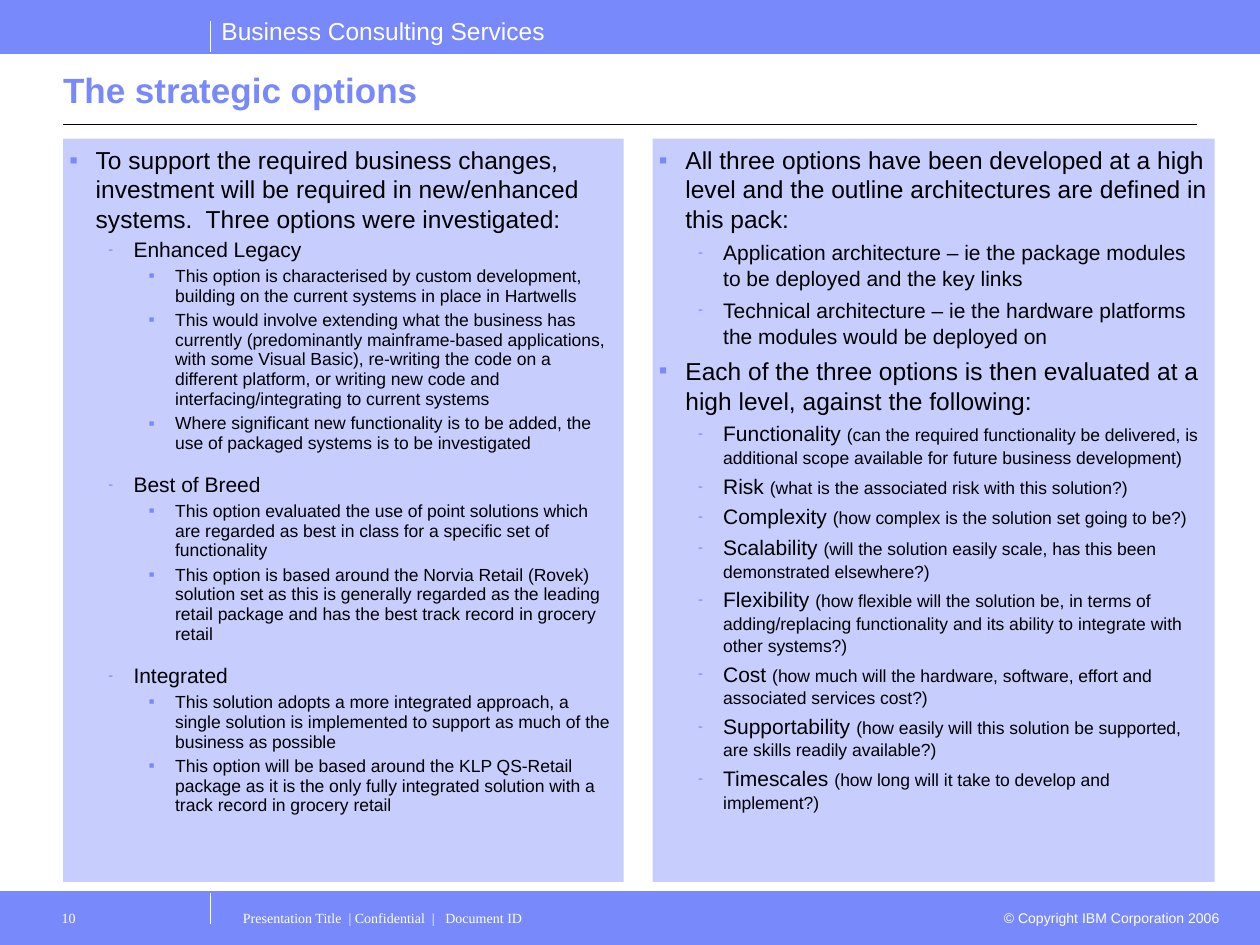
"""Build the strategic options slide with two bulleted panels."""

from dataclasses import dataclass
from lxml.etree import SubElement
from pptx import Presentation
from pptx.dml.color import RGBColor
from pptx.enum.shapes import MSO_CONNECTOR, MSO_SHAPE
from pptx.enum.text import MSO_ANCHOR, MSO_AUTO_SIZE, PP_ALIGN
from pptx.oxml.ns import qn
from pptx.util import Inches, Pt

COLORS = {"blue": "7889FB", "pale": "C7CDFD", "white": "FFFFFF", "black": "000000"}


@dataclass
class Level:
    indent: float
    hang: float
    size: float
    before: float
    mark: str
    scale: int = 100


@dataclass
class Item:
    level: int
    text: str
    note: str = ""
    before: float | None = None
    pitch: float | None = None


@dataclass
class Panel:
    left: float
    width: float
    pitch: float
    items: list[Item]


@dataclass
class Label:
    left: float
    top: float
    width: float
    height: float
    text: str
    size: float = 8
    font: str = "Arial"
    align: PP_ALIGN = PP_ALIGN.LEFT
    wrap: bool = True
    inset: float = 0.1
    head: float = 0.05


@dataclass
class Rule:
    start: tuple[float, float]
    end: tuple[float, float]
    color: str
    weight: float = 0.75


LEVELS = [
    Level(0.21, 0.21, 14, 3.5, "▪"),
    Level(0.51, 0.2, 12, 3, "-", 70),
    Level(0.84, 0.21, 10, 2.5, "▪"),
]
GAP = 11.5

PANELS = [
    Panel(0.5, 4.45, 0.94, [
        Item(0, "To support the required business changes, investment will be required in "
                "new/enhanced systems.  Three options were investigated:", before=0, pitch=1),
        Item(1, "Enhanced Legacy"),
        Item(2, "This option is characterised by custom development, building on the current "
                "systems in place in Hartwells"),
        Item(2, "This would involve extending what the business has currently (predominantly "
                "mainframe-based applications, with some Visual Basic), re-writing the code on "
                "a different platform, or writing new code and interfacing/integrating to "
                "current systems"),
        Item(2, "Where significant new functionality is to be added, the use of packaged "
                "systems is to be investigated"),
        Item(1, "Best of Breed", before=GAP),
        Item(2, "This option evaluated the use of point solutions which are regarded as best "
                "in class for a specific set of functionality"),
        Item(2, "This option is based around the Norvia Retail (Rovek) solution set as this is "
                "generally regarded as the leading retail package and has the best track "
                "record in grocery retail"),
        Item(1, "Integrated", before=GAP),
        Item(2, "This solution adopts a more integrated approach, a single solution is "
                "implemented to support as much of the business as possible"),
        Item(2, "This option will be based around the KLP QS-Retail package as it is the only "
                "fully integrated solution with a track record in grocery retail"),
    ]),
    Panel(5.18, 4.46, 1.04, [
        Item(0, "All three options have been developed at a high level and the outline "
                "architectures are defined in this pack:", before=0, pitch=1),
        Item(1, "Application architecture – ie the package modules to be deployed and the "
                "key links"),
        Item(1, "Technical architecture – ie the hardware platforms the modules would be "
                "deployed on"),
        Item(0, "Each of the three options is then evaluated at a high level, against the "
                "following:"),
        *(Item(1, name + " ", f"({note})", before=2.5) for name, note in [
            ("Functionality", "can the required functionality be delivered, is additional "
                              "scope available for future business development"),
            ("Risk", "what is the associated risk with this solution?"),
            ("Complexity", "how complex is the solution set going to be?"),
            ("Scalability", "will the solution easily scale, has this been demonstrated "
                            "elsewhere?"),
            ("Flexibility", "how flexible will the solution be, in terms of adding/replacing "
                            "functionality and its ability to integrate with other systems?"),
            ("Cost", "how much will the hardware, software, effort and associated services "
                     "cost?"),
            ("Supportability", "how easily will this solution be supported, are skills "
                               "readily available?"),
            ("Timescales", "how long will it take to develop and implement?"),
        ]),
    ]),
]

LABELS = [
    Label(1.66, 0.08, 2.77, 0.34, "Business Consulting Services", 14, wrap=False),
    Label(7.83, 7.17, 1.95, 0.24, "© Copyright IBM Corporation 2006", align=PP_ALIGN.RIGHT),
    Label(1.83, 7.15, 6, 0.35, "Presentation Title  | Confidential  |   Document ID",
          font="Times New Roman", head=0.07),
    Label(0.33, 7.15, 1.33, 0.35, "10", font="Times New Roman", inset=0.16, head=0.07),
]

RULES = [
    Rule((1.67, 0.42), (1.67, 0.17), "white"),
    Rule((1.67, 7.33), (1.67, 7.08), "white"),
    Rule((0, 0.42), (10, 0.42), "blue", 0.5),
    Rule((0, 7.08), (10, 7.08), "blue", 0.5),
    Rule((0.5, 0.99), (9.5, 0.99), "black"),
]


def tint(name: str) -> RGBColor:
    """Return the named colour."""
    return RGBColor.from_string(COLORS[name])


def place(shape, left: float, top: float, width: float, height: float) -> None:
    """Move and size a shape."""
    shape.left, shape.top = Inches(left), Inches(top)
    shape.width, shape.height = Inches(width), Inches(height)


def pad(frame, left: float, top: float, right: float, wrap: bool = True) -> None:
    """Set the margins and wrapping of a text frame."""
    frame.auto_size = MSO_AUTO_SIZE.NONE
    frame.word_wrap = wrap
    frame.margin_left, frame.margin_right = Inches(left), Inches(right)
    frame.margin_top, frame.margin_bottom = Inches(top), Inches(0.05)


def style(run, size: float, color: str, face: str = "Arial", bold: bool = False) -> None:
    """Format a run."""
    font = run.font
    font.name, font.size, font.bold = face, Pt(size), bold
    font.color.rgb = tint(color)


def mark(para, level: Level) -> None:
    """Give a paragraph its indent and bullet."""
    props = para._p.get_or_add_pPr()
    props.set("marL", str(Inches(level.indent)))
    props.set("indent", str(-Inches(level.hang)))
    shade = SubElement(props, qn("a:buClr"))
    SubElement(shade, qn("a:srgbClr"), val=COLORS["blue"])
    SubElement(props, qn("a:buSzPct"), val=str(level.scale * 1000))
    SubElement(props, qn("a:buFont"), typeface="Arial")
    SubElement(props, qn("a:buChar"), char=level.mark)


def draw_panel(shape, panel: Panel) -> None:
    """Fill a body placeholder with a bulleted list."""
    place(shape, panel.left, 1.1, panel.width, 5.9)
    shape.fill.solid()
    shape.fill.fore_color.rgb = tint("pale")
    frame = shape.text_frame
    pad(frame, 0.05, 0.05, 0.05)
    for index, item in enumerate(panel.items):
        para = frame.add_paragraph() if index else frame.paragraphs[0]
        level = LEVELS[item.level]
        para.text = item.text
        para.level = item.level
        mark(para, level)
        para.line_spacing = item.pitch or panel.pitch
        para.space_before = Pt(level.before if item.before is None else item.before)
        style(para.runs[0], level.size, "black")
        if item.note:
            run = para.add_run()
            run.text = item.note
            style(run, 10, "black")


def draw_band(slide, top: float) -> None:
    """Draw a full-width blue band."""
    band = slide.shapes.add_shape(MSO_SHAPE.RECTANGLE, 0, Inches(top), Inches(10), Inches(0.42))
    band.shadow.inherit = False
    band.fill.solid()
    band.fill.fore_color.rgb = band.line.color.rgb = tint("blue")
    band.line.width = Pt(0.75)


def draw_rule(slide, rule: Rule) -> None:
    """Draw a straight line."""
    ends = [Inches(value) for value in (*rule.start, *rule.end)]
    line = slide.shapes.add_connector(MSO_CONNECTOR.STRAIGHT, *ends)
    line.line.color.rgb = tint(rule.color)
    line.line.width = Pt(rule.weight)
    SubElement(line._element.spPr, qn("a:effectLst"))


def draw_label(slide, label: Label) -> None:
    """Draw a white line of text."""
    box = slide.shapes.add_textbox(0, 0, 0, 0)
    place(box, label.left, label.top, label.width, label.height)
    pad(box.text_frame, label.inset, label.head, 0.1, label.wrap)
    box.text_frame.text = label.text
    para = box.text_frame.paragraphs[0]
    para.alignment = label.align
    style(para.runs[0], label.size, "white", label.font)


def draw_title(shape) -> None:
    """Fill the title placeholder."""
    place(shape, 0.5, 0.51, 9, 0.4)
    frame = shape.text_frame
    pad(frame, 0, 0.05, 0)
    frame.vertical_anchor = MSO_ANCHOR.MIDDLE
    frame.text = "The strategic options"
    frame.paragraphs[0].alignment = PP_ALIGN.LEFT
    style(frame.paragraphs[0].runs[0], 20, "blue", bold=True)


def main() -> None:
    """Build and save the slide."""
    deck = Presentation()
    deck.slide_width, deck.slide_height = Inches(10), Inches(7.5)
    slide = deck.slides.add_slide(deck.slide_layouts[3])
    for top in (7.08, 0):
        draw_band(slide, top)
    draw_title(slide.shapes.title)
    for index, panel in enumerate(PANELS, 1):
        draw_panel(slide.placeholders[index], panel)
    for rule in RULES:
        draw_rule(slide, rule)
    for label in LABELS:
        draw_label(slide, label)
    deck.save("out.pptx")


if __name__ == "__main__":
    main()
